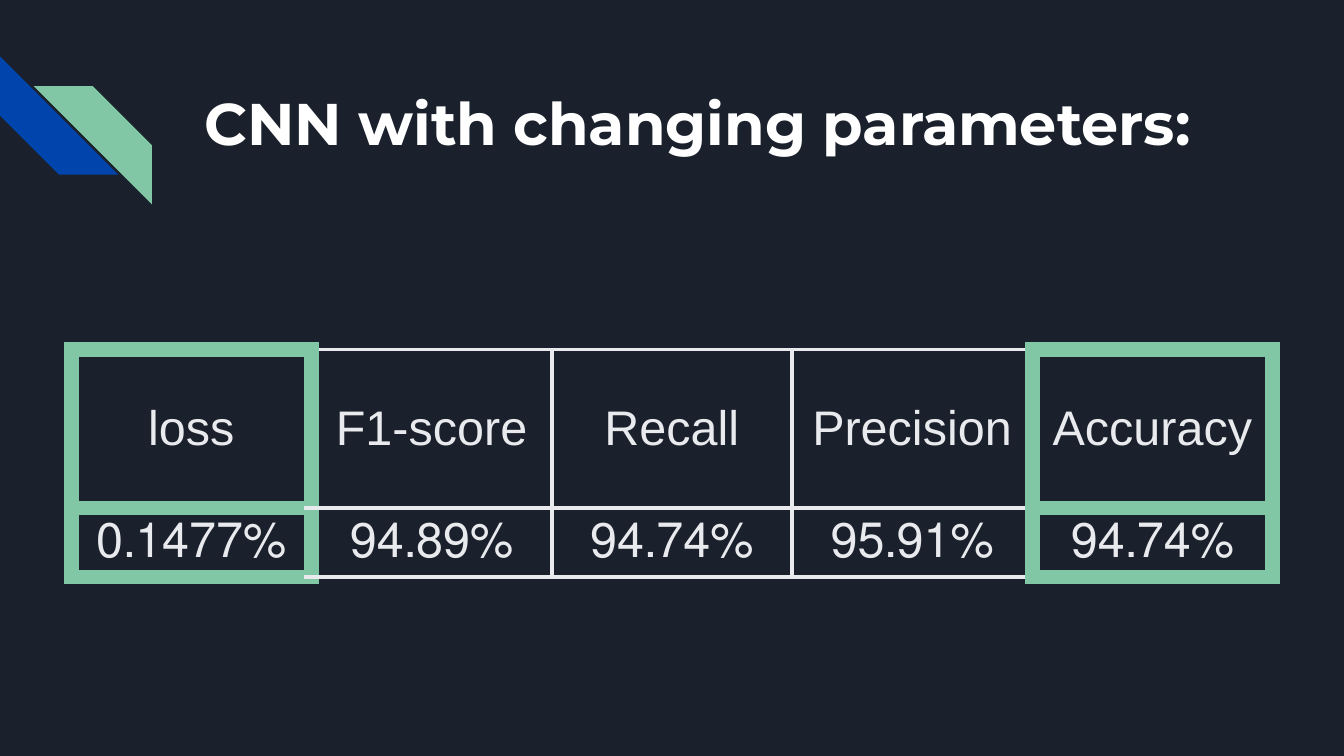
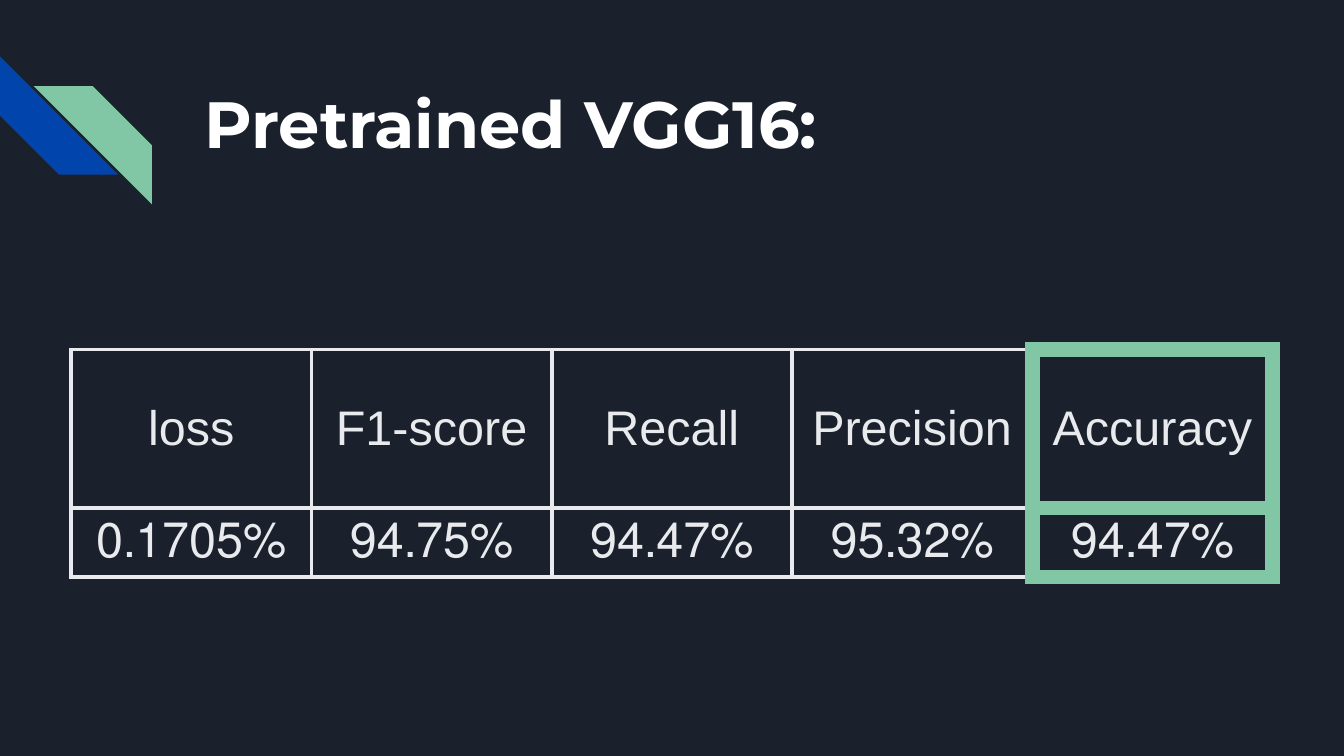
from dataclasses import dataclass

from lxml import etree
from pptx import Presentation
from pptx.dml.color import RGBColor
from pptx.enum.shapes import MSO_SHAPE
from pptx.enum.text import MSO_ANCHOR, PP_ALIGN
from pptx.oxml.ns import qn
from pptx.util import Inches, Pt

STRIPE = MSO_SHAPE.DIAGONAL_STRIPE
MIDDLE = MSO_ANCHOR.MIDDLE
CENTER = PP_ALIGN.CENTER


@dataclass(frozen=True)
class Theme:
    background: str = "1B212C"
    blue: str = "0145AC"
    green: str = "82C7A5"
    white: str = "FFFFFF"
    light: str = "E8EAED"
    title_font: str = "Montserrat"
    table_font: str = "Arial"
    table_size: float = 26
    thin_border: float = 2.25
    thick_border: float = 9


THEME = Theme()
STRIPES_BOX = (0, 0.42, 0.88)
TITLE_BOX = (1.42, 0.41, 7.7, 1)
TABLE_BOX = (0.53, 2.6, 8.94)
ROW_HEIGHTS = (1.18, 0.5)
TITLE_INSET = 0.1
CELL_INSET = 0.07
ROW_INSETS = (0.07, 0.04)
METRICS = ("loss", "F1-score", "Recall", "Precision", "Accuracy")
RESULTS = (
    ("CNN with changing parameters:", 31.5,
     ("0.1477%", "94.89%", "94.74%", "95.91%", "94.74%"), {0, 4}),
    ("Pretrained VGG16:", 35,
     ("0.1705%", "94.75%", "94.47%", "95.32%", "94.47%"), {4}),
)


def color(value):
    return RGBColor.from_string(value)


def set_insets(target, horizontal, vertical):
    target.margin_left = target.margin_right = Inches(horizontal)
    target.margin_top = target.margin_bottom = Inches(vertical)


def add_run(paragraph, text, font, size, fill, bold=False):
    run = paragraph.add_run()
    run.text = text
    run.font.name = font
    run.font.size = Pt(size)
    run.font.bold = bold
    run.font.color.rgb = color(fill)


def add_stripe(slide, left, top, size, fill):
    shape = slide.shapes.add_shape(
        STRIPE, Inches(left), Inches(top), Inches(size), Inches(size))
    shape.adjustments[0] = 0.5
    shape.shadow.inherit = False
    shape.fill.solid()
    shape.fill.fore_color.rgb = color(fill)
    shape.line.fill.background()
    return shape


def add_corner_stripes(slide, box):
    left, top, size = box
    blue_stripe = add_stripe(slide, left, top, size, THEME.blue)
    blue_stripe.rotation = 270
    green_stripe = add_stripe(
        slide, left + 0.25, top + 0.22, size, THEME.green)
    green_stripe._element.spPr.find(qn("a:xfrm")).set("flipH", "1")


def add_title(slide, box, text, size):
    title = slide.shapes.add_textbox(*map(Inches, box))
    frame = title.text_frame
    frame.word_wrap = True
    frame.vertical_anchor = MIDDLE
    set_insets(frame, TITLE_INSET, TITLE_INSET)
    add_run(frame.paragraphs[0], text, THEME.title_font, size,
            THEME.white, bold=True)


def set_borders(cell, column, highlighted):
    neighbours = {
        "L": {column - 1, column},
        "R": {column, column + 1},
        "T": {column},
        "B": {column},
    }
    properties = cell._tc.get_or_add_tcPr()
    for position, (side, columns) in enumerate(neighbours.items()):
        strong = columns & highlighted
        width = THEME.thick_border if strong else THEME.thin_border
        line = etree.Element(qn(f"a:ln{side}"), w=str(Pt(width)))
        fill = etree.SubElement(line, qn("a:solidFill"))
        etree.SubElement(fill, qn("a:srgbClr"),
                         val=THEME.green if strong else THEME.light)
        properties.insert(position, line)


def add_metrics_table(slide, box, values, highlighted):
    left, top, width = box
    rows = (METRICS, values)
    table = slide.shapes.add_table(
        len(rows), len(METRICS), Inches(left), Inches(top),
        Inches(width), Inches(sum(ROW_HEIGHTS))).table
    table.first_row = False
    table.horz_banding = False
    for column in table.columns:
        column.width = Inches(width / len(METRICS))
    for row_index, texts in enumerate(rows):
        table.rows[row_index].height = Inches(ROW_HEIGHTS[row_index])
        for column_index, text in enumerate(texts):
            cell = table.cell(row_index, column_index)
            cell.fill.background()
            cell.vertical_anchor = MIDDLE
            set_insets(cell, CELL_INSET, ROW_INSETS[row_index])
            set_borders(cell, column_index, highlighted)
            paragraph = cell.text_frame.paragraphs[0]
            paragraph.alignment = CENTER
            if row_index:
                paragraph._p.get_or_add_pPr().set("rtl", "1")
            add_run(paragraph, text, THEME.table_font,
                    THEME.table_size, THEME.light)


def add_result_slide(presentation, title, title_size, values, highlighted):
    slide = presentation.slides.add_slide(presentation.slide_layouts[6])
    slide.background.fill.solid()
    slide.background.fill.fore_color.rgb = color(THEME.background)
    add_corner_stripes(slide, STRIPES_BOX)
    add_title(slide, TITLE_BOX, title, title_size)
    add_metrics_table(slide, TABLE_BOX, values, highlighted)


def main():
    presentation = Presentation()
    presentation.slide_width = Inches(10)
    presentation.slide_height = Inches(10 * 9 / 16)
    for result in RESULTS:
        add_result_slide(presentation, *result)
    presentation.save("out.pptx")


if __name__ == "__main__":
    main()
